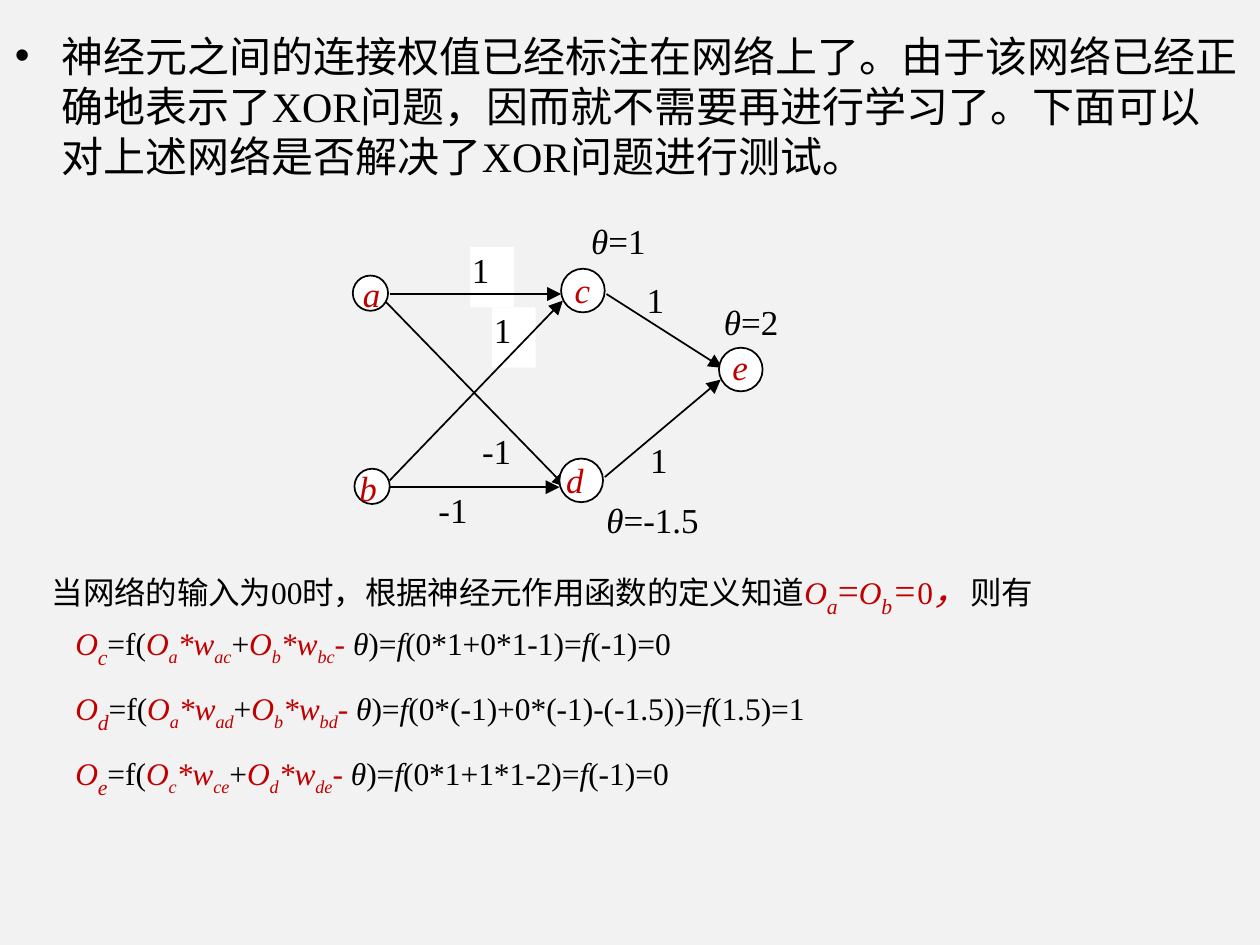
from lxml import etree
from pptx import Presentation
from pptx.dml.color import RGBColor
from pptx.enum import shapes, text
from pptx.oxml import ns
from pptx.util import Inches, Pt

FONT = "Times New Roman"
COLORS = {"ground": "F2F2F2", "white": "FFFFFF", "ink": "000000", "symbol": "C00000"}
INTRO = (
    "神经元之间的连接权值已经标注在网络上了。由于该网络已经正确地表示了XOR问题，"
    "因而就不需要再进行学习了。下面可以对上述网络是否解决了XOR问题进行测试。"
)
NODES = [
    ("a", 2.1, 1.64, 0.21, 2.15, 1.61),
    ("b", 2.11, 2.79, 0.21, 2.13, 2.77),
    ("c", 3.34, 1.6, 0.26, 3.41, 1.59),
    ("d", 3.33, 2.73, 0.26, 3.36, 2.72),
    ("e", 4.28, 2.07, 0.26, 4.35, 2.05),
]
ARROWS = [
    (2.29, 1.79, 3.37, 2.9),
    (2.32, 1.75, 3.34, 1.75),
    (2.32, 2.9, 3.33, 2.9),
    (2.32, 2.86, 3.35, 1.79),
    (3.61, 1.75, 4.3, 2.19),
    (3.6, 2.84, 4.29, 2.26),
]
PATCHED_WEIGHTS = [(2.8, 1.47), (2.93, 1.83)]
WEIGHTS = [("-1", 2.6, 2.9), ("-1", 2.86, 2.55), ("1", 3.86, 2.6), ("1", 3.84, 1.65)]
THRESHOLDS = [("=1", 3.51, 1.3), ("=2", 4.3, 1.78), ("=-1.5", 3.6, 2.96)]
EQUATIONS = [
    ("c", "a", "b", "(0*1+0*1-1)=", "(-1)=0"),
    ("d", "a", "b", "(0*(-1)+0*(-1)-(-1.5))=", "(1.5)=1"),
    ("e", "c", "d", "(0*1+1*1-2)=", "(-1)=0"),
]


def color(name):
    return RGBColor.from_string(COLORS[name])


def add_run(paragraph, words, size, tint="ink", italic=False, sub=False):
    run = paragraph.add_run()
    run.text = words
    run.font.name = FONT
    run.font.size = Pt(size)
    run.font.italic = italic
    run.font.color.rgb = color(tint)
    if sub:
        run._r.get_or_add_rPr().set("baseline", "-25000")


def add_symbol(paragraph, words, size=13.5, sub=False):
    add_run(paragraph, words, size, "symbol", True, sub)


def add_box(slide, left, top, width, height, inset=None):
    box = slide.shapes.add_textbox(Inches(left), Inches(top), Inches(width), Inches(height))
    frame = box.text_frame
    frame.word_wrap = True
    if inset is not None:
        frame.margin_left = frame.margin_right = Inches(inset)
        frame.margin_top = frame.margin_bottom = Inches(inset)
    return box


def add_label(slide, left, top, width=0.39, height=0.36):
    label = add_box(slide, left, top, width, height, 0.01)
    label.text_frame.paragraphs[0].alignment = text.PP_ALIGN.JUSTIFY
    return label


def add_weight(slide, words, left, top, patched=False):
    weight = add_label(slide, left, top, 0.26 if patched else 0.3)
    if patched:
        weight.fill.solid()
        weight.fill.fore_color.rgb = color("white")
    add_run(weight.text_frame.paragraphs[0], words, 15)


def add_threshold(slide, value, left, top):
    paragraph = add_label(slide, left, top, 0.67).text_frame.paragraphs[0]
    add_run(paragraph, "θ", 15, italic=True)
    add_run(paragraph, value, 15)


def add_arrow(slide, *ends):
    arrow = slide.shapes.add_connector(shapes.MSO_CONNECTOR.STRAIGHT, *map(Inches, ends))
    arrow.line.color.rgb = color("ink")
    arrow.line.width = Pt(0.75)
    etree.SubElement(arrow.line._get_or_add_ln(), ns.qn("a:tailEnd"), type="triangle")
    etree.SubElement(arrow._element.spPr, ns.qn("a:effectLst"))


def add_node(slide, letter, left, top, size, letter_left, letter_top):
    node = slide.shapes.add_shape(
        shapes.MSO_SHAPE.OVAL, Inches(left), Inches(top), Inches(size), Inches(size)
    )
    node.shadow.inherit = False
    node.fill.solid()
    node.fill.fore_color.rgb = color("white")
    node.line.color.rgb = color("ink")
    node.line.width = Pt(0.75)
    label = add_label(slide, letter_left, letter_top)
    add_symbol(label.text_frame.paragraphs[0], letter, 15)


def add_intro(slide):
    paragraph = add_box(slide, -0.01, 0.13, 7.5, 1.08).text_frame.paragraphs[0]
    properties = paragraph._p.get_or_add_pPr()
    properties.set("marL", str(Inches(0.28)))
    properties.set("indent", str(Inches(-0.28)))
    etree.SubElement(properties, ns.qn("a:buFont"), typeface="Arial")
    etree.SubElement(properties, ns.qn("a:buChar"), char="•")
    add_run(paragraph, INTRO, 18)


def add_premise(paragraph):
    add_run(paragraph, "当网络的输入为00时，根据神经元作用函数的定义知道", 13.5)
    add_symbol(paragraph, "O")
    add_symbol(paragraph, "a", 16, sub=True)
    add_run(paragraph, "=", 16, "symbol")
    add_symbol(paragraph, "O")
    add_symbol(paragraph, "b", 16, sub=True)
    add_symbol(paragraph, "=", 16)
    add_run(paragraph, "0", 13.5, "symbol")
    add_symbol(paragraph, "，", 16)
    add_run(paragraph, "则有", 13.5)


def add_product(paragraph, source, target):
    add_symbol(paragraph, "O")
    add_symbol(paragraph, source, sub=True)
    add_symbol(paragraph, "*w")
    add_symbol(paragraph, source + target, sub=True)


def add_equation(paragraph, target, first, second, substitution, result):
    paragraph.alignment = text.PP_ALIGN.JUSTIFY
    paragraph._p.get_or_add_pPr().set("marL", str(Inches(0.14)))
    add_symbol(paragraph, "O")
    add_symbol(paragraph, target, 16, sub=True)
    add_run(paragraph, "=f(", 13.5)
    add_product(paragraph, first, target)
    add_run(paragraph, "+", 13.5)
    add_product(paragraph, second, target)
    add_symbol(paragraph, "-")
    add_run(paragraph, " θ", 13.5, italic=True)
    add_run(paragraph, ")=", 13.5)
    for argument in (substitution, result):
        add_run(paragraph, "f", 13.5, italic=True)
        add_run(paragraph, argument, 13.5)


def add_test(slide):
    frame = add_box(slide, 0.21, 3.33, 7.27, 1.22).text_frame
    frame.auto_size = text.MSO_AUTO_SIZE.SHAPE_TO_FIT_TEXT
    add_premise(frame.paragraphs[0])
    for index, equation in enumerate(EQUATIONS):
        paragraph = frame.add_paragraph()
        paragraph.space_before = Pt(6 if index else 0)
        add_equation(paragraph, *equation)


def main():
    deck = Presentation()
    deck.slide_width = Inches(7.5)
    deck.slide_height = Inches(7.5 * 3 / 4)
    slide = deck.slides.add_slide(deck.slide_layouts[6])
    slide.background.fill.solid()
    slide.background.fill.fore_color.rgb = color("ground")
    add_intro(slide)
    for place in PATCHED_WEIGHTS:
        add_weight(slide, "1", *place, patched=True)
    for arrow in ARROWS:
        add_arrow(slide, *arrow)
    for node in NODES:
        add_node(slide, *node)
    for weight in WEIGHTS:
        add_weight(slide, *weight)
    for threshold in THRESHOLDS:
        add_threshold(slide, *threshold)
    add_test(slide)
    deck.save("out.pptx")


if __name__ == "__main__":
    main()
